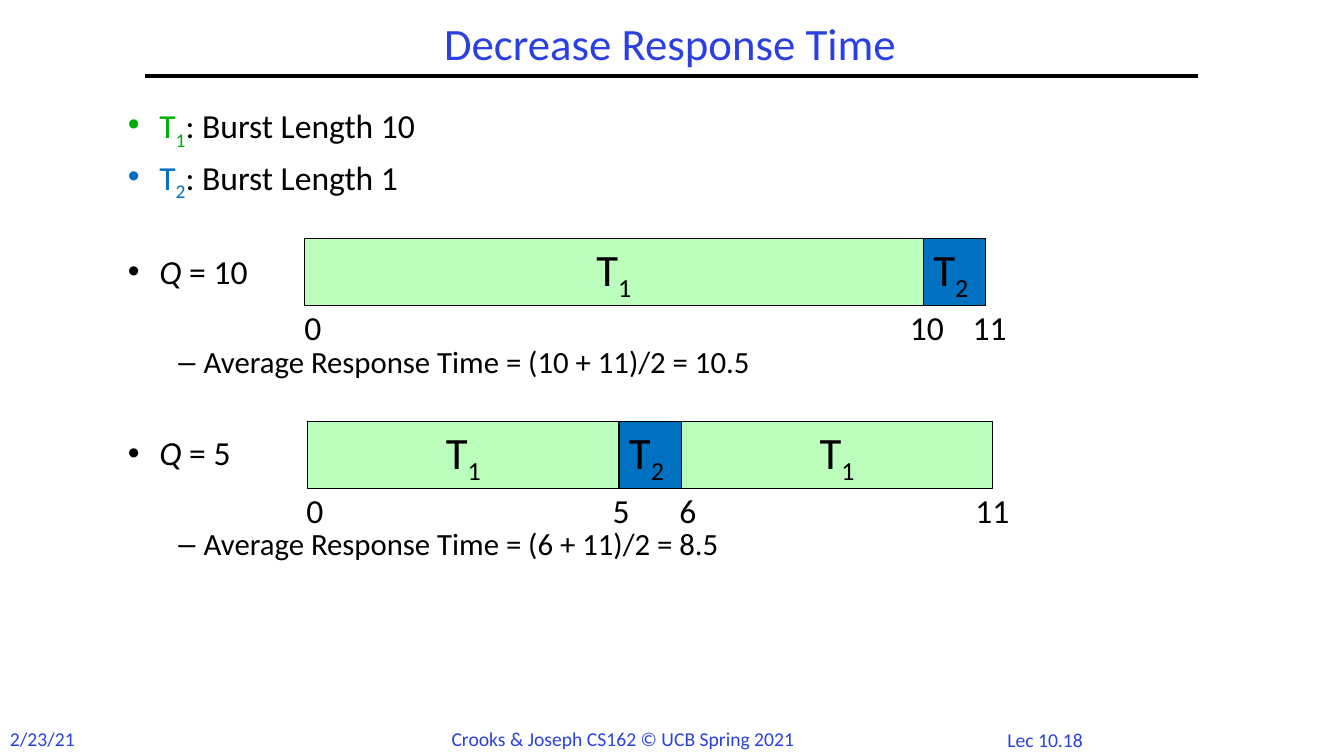
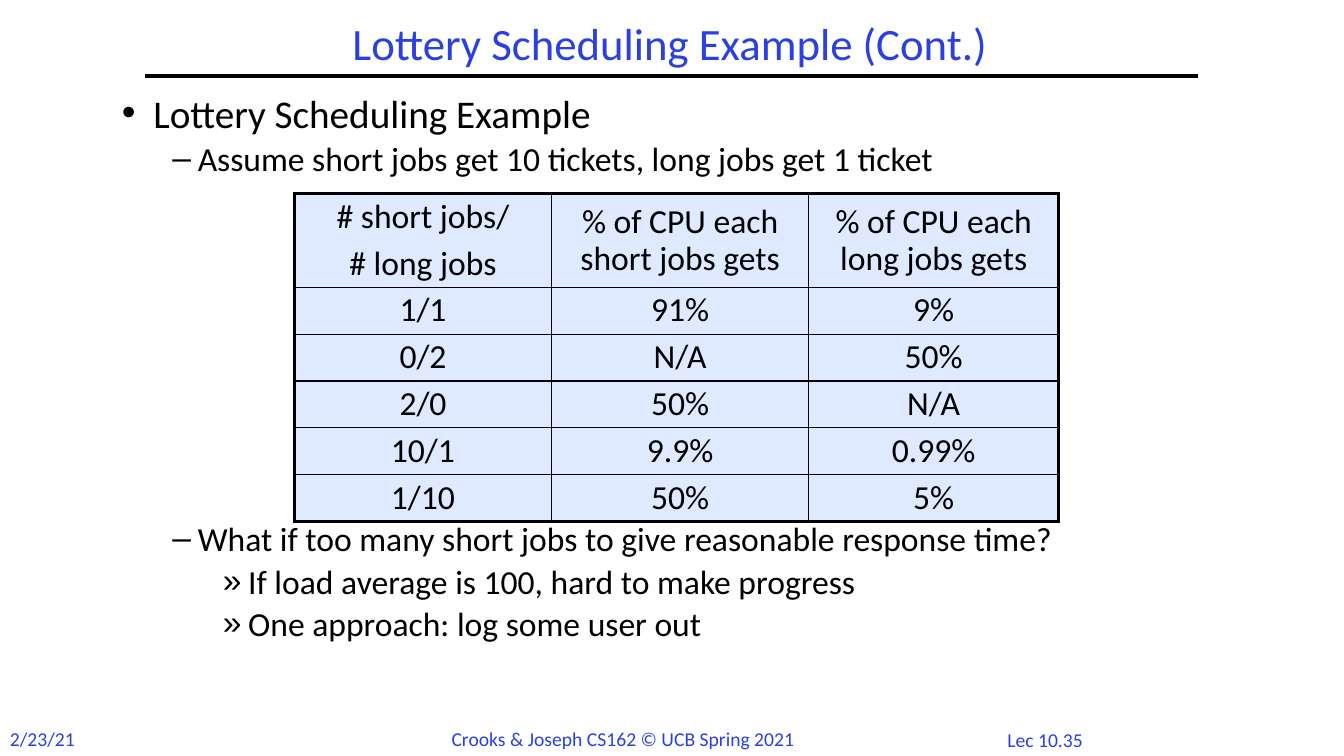
import dataclasses

import lxml.etree
import pptx
import pptx.dml.color
import pptx.enum.shapes
import pptx.enum.text
import pptx.oxml.ns
import pptx.util

Cm = pptx.util.Cm
Pt = pptx.util.Pt
RGB = pptx.dml.color.RGBColor.from_string
ALIGN = pptx.enum.text.PP_ALIGN
ANCHOR = pptx.enum.text.MSO_ANCHOR
qn = pptx.oxml.ns.qn


@dataclasses.dataclass(frozen=True)
class Theme:
    font: str = "Calibri"
    heading: str = "2A40E2"
    ink: str = "000000"
    first_thread: str = "00AE00"
    second_thread: str = "0070C0"
    first_bar: str = "BCFFBC"
    table_fill: str = "DFE9FF"
    title_size: int = 32
    topic_size: int = 28
    text_size: int = 24
    detail_size: int = 22
    footer_size: int = 14
    outer_border: float = 2.25
    inner_border: float = 1


theme = Theme()


def write(paragraph, pieces, size, color=theme.ink, **paragraph_format):
    for key, value in paragraph_format.items():
        setattr(paragraph, key, value)
    for text, style in pieces:
        run = paragraph.add_run()
        run.text = text
        style = {"name": theme.font, "size": Pt(size), "color": color, **style}
        run.font.color.rgb = RGB(style.pop("color"))
        if style.pop("subscript", False):
            run.font._element.set("baseline", "-25000")
        for key, value in style.items():
            setattr(run.font, key, value)


def add_label(shapes, place, text, size, color=theme.ink, **paragraph_format):
    label = shapes.add_textbox(*map(Cm, place))
    frame = label.text_frame
    frame.word_wrap = False
    frame.vertical_anchor = ANCHOR.MIDDLE
    write(frame.paragraphs[0], [(text, {})], size, color, **paragraph_format)
    return label


deck = pptx.Presentation()
deck.slide_width, deck.slide_height = Cm(33.87), Cm(19.05)
layout = deck.slide_layouts[1]
title_place = {"left": 3.63, "top": 0.43, "width": 26.52, "height": 1.47}
for key, value in title_place.items():
    setattr(layout.placeholders[0], key, Cm(value))

SUB = {"subscript": True}
GREEN = {"color": theme.first_thread}
BLUE = {"color": theme.second_thread}
ITALIC = {"italic": True}
BLANK_LINE = 33.2
TABLE_GAP = 241.5

pages = [
    {
        "title": "Decrease Response Time",
        "number": "Lec 10.18",
        "body": (2.97, 2.54, 29.21, 14.63),
        "line_spacing": 0.9,
        "items": [
            (0, theme.text_size, 0, [("T", GREEN), ("1", GREEN | SUB), (": Burst Length 10", {})]),
            (0, theme.text_size, 0, [("T", BLUE), ("2", BLUE | SUB), (": Burst Length 1", {})]),
            (0, theme.text_size, BLANK_LINE, [("Q", ITALIC), (" = 10", {})]),
            (1, theme.detail_size, BLANK_LINE, [("Average Response Time = (10 + 11)/2 = 10.5", {})]),
            (0, theme.text_size, BLANK_LINE, [("Q", ITALIC), (" = 5", {})]),
            (1, theme.detail_size, BLANK_LINE, [("Average Response Time = (6 + 11)/2 = 8.5", {})]),
        ],
    },
    {
        "title": "Lottery Scheduling Example (Cont.)",
        "number": "Lec 10.35",
        "body": (2.82, 2.34, 28.93, 15.67),
        "line_spacing": 0.8,
        "items": [
            (0, theme.topic_size, 0, [("Lottery Scheduling Example", {})]),
            (1, theme.text_size, 0, [("Assume short jobs get 10 tickets, long jobs get 1 ticket", {})]),
            (1, theme.text_size, TABLE_GAP,
             [("What if too many short jobs to give reasonable response time?", {})]),
            (2, theme.text_size, 0, [("If load average is 100, hard to make progress", {})]),
            (2, theme.text_size, 0, [("One approach: log some user out", {})]),
        ],
    },
]
levels = [("•", 0.79, 0.79), ("–", 1.91, 0.64), ("»", 3.18, 0.64)]

for page in pages:
    slide = deck.slides.add_slide(layout)
    title, body = slide.placeholders
    write(title.text_frame.paragraphs[0], [(page["title"], {})], theme.title_size,
          theme.heading, alignment=ALIGN.CENTER, line_spacing=0.9)
    title.text_frame.auto_size = pptx.enum.text.MSO_AUTO_SIZE.NONE

    for key, value in zip(("left", "top", "width", "height"), page["body"]):
        setattr(body, key, Cm(value))
    body.text_frame.auto_size = pptx.enum.text.MSO_AUTO_SIZE.NONE
    for index, (level, size, gap, pieces) in enumerate(page["items"]):
        item = body.text_frame.add_paragraph() if index else body.text_frame.paragraphs[0]
        write(item, pieces, size, level=level, line_spacing=page["line_spacing"],
              space_before=Pt(0.3 * size + gap))
        bullet, margin, hanging = levels[level]
        properties = item._p.get_or_add_pPr()
        properties.set("marL", str(Cm(margin)))
        properties.set("indent", str(-Cm(hanging)))
        lxml.etree.SubElement(properties, qn("a:buChar")).set("char", bullet)

    add_label(slide.shapes, (24.97, 18.21, 2.74, 0.84), page["number"],
              theme.footer_size, theme.heading, alignment=ALIGN.CENTER)

response_slide, lottery_slide = deck.slides

rule = response_slide.shapes.add_connector(
    pptx.enum.shapes.MSO_CONNECTOR.STRAIGHT, Cm(3.66), Cm(1.91), Cm(30.2), Cm(1.91))
rule.line.color.rgb = RGB(theme.ink)
rule.line.width = Pt(3)
lxml.etree.SubElement(rule.element.spPr, qn("a:effectLst"))
date = add_label(response_slide.shapes, (0, 18.19, 2.16, 0.86), "2/23/21",
                 theme.footer_size, theme.heading)
course = add_label(response_slide.shapes, (11.13, 18.19, 9.22, 0.86),
                   "Crooks & Joseph CS162 © UCB Spring 2021", theme.footer_size, theme.heading)
for shared in (rule, date, course):
    layout.shapes.element.append(shared.element)

threads = {"1": (theme.first_bar, ALIGN.CENTER), "2": (theme.second_thread, ALIGN.LEFT)}
timelines = [
    {"left": 7.67, "top": 6, "unit": 1.56, "bursts": [("1", 10), ("2", 1)],
     "ticks": [("0", 7.42), ("10", 22.68), ("11", 24.26)]},
    {"left": 7.75, "top": 10.62, "unit": 1.57, "bursts": [("1", 5), ("2", 1), ("1", 5)],
     "ticks": [("0", 7.47), ("5", 15.19), ("6", 16.87), ("11", 24.33)]},
]
for timeline in timelines:
    group = response_slide.shapes.add_group_shape()
    left = timeline["left"]
    for thread, burst in timeline["bursts"]:
        width = burst * timeline["unit"]
        fill, alignment = threads[thread]
        bar = group.shapes.add_shape(pptx.enum.shapes.MSO_SHAPE.RECTANGLE, Cm(left),
                                     Cm(timeline["top"]), Cm(width), Cm(1.7))
        bar.shadow.inherit = False
        bar.fill.solid()
        bar.fill.fore_color.rgb = RGB(fill)
        bar.line.color.rgb = RGB(theme.ink)
        bar.line.width = Pt(0.75)
        bar.text_frame.word_wrap = False
        bar.text_frame.vertical_anchor = ANCHOR.MIDDLE
        write(bar.text_frame.paragraphs[0], [("T", {}), (thread, SUB)],
              theme.title_size, alignment=alignment)
        left += width
    for time, tick_left in timeline["ticks"]:
        add_label(group.shapes, (tick_left, timeline["top"] + 1.6, 0.5 + 0.45 * len(time), 1.27),
                  time, theme.text_size)

shares = [
    ("# short jobs/\n# long jobs", "% of CPU each short jobs gets", "% of CPU each long jobs gets"),
    ("1/1", "91%", "9%"),
    ("0/2", "N/A", "50%"),
    ("2/0", "50%", "N/A"),
    ("10/1", "9.9%", "0.99%"),
    ("1/10", "50%", "5%"),
]
column_widths = [6.48, 6.48, 6.3]
row_heights = [2.36] + [1.18] * 5
table = lottery_slide.shapes.add_table(
    len(shares), len(column_widths), Cm(7.42), Cm(4.88),
    Cm(sum(column_widths)), Cm(sum(row_heights))).table
table.first_row = table.horz_banding = False
for column, width in zip(table.columns, column_widths):
    column.width = Cm(width)
for row, height in zip(table.rows, row_heights):
    row.height = Cm(height)

for row_index, texts in enumerate(shares):
    for column_index, text in enumerate(texts):
        cell = table.cell(row_index, column_index)
        cell.vertical_anchor = ANCHOR.MIDDLE
        for line_index, line in enumerate(text.split("\n")):
            paragraphs = cell.text_frame
            entry = paragraphs.add_paragraph() if line_index else paragraphs.paragraphs[0]
            write(entry, [(line, {})], theme.text_size, alignment=ALIGN.CENTER,
                  line_spacing=0.9, space_before=Pt(0.3 * theme.text_size))
        edges = {
            "a:lnL": column_index == 0,
            "a:lnR": column_index == len(texts) - 1,
            "a:lnT": row_index == 0,
            "a:lnB": row_index == len(shares) - 1,
        }
        for edge, is_outer in edges.items():
            border = lxml.etree.SubElement(cell._tc.get_or_add_tcPr(), qn(edge))
            border.set("w", str(Pt(theme.outer_border if is_outer else theme.inner_border)))
            paint = lxml.etree.SubElement(border, qn("a:solidFill"))
            lxml.etree.SubElement(paint, qn("a:srgbClr")).set("val", theme.ink)
        cell.fill.solid()
        cell.fill.fore_color.rgb = RGB(theme.table_fill)

deck.save("out.pptx")
